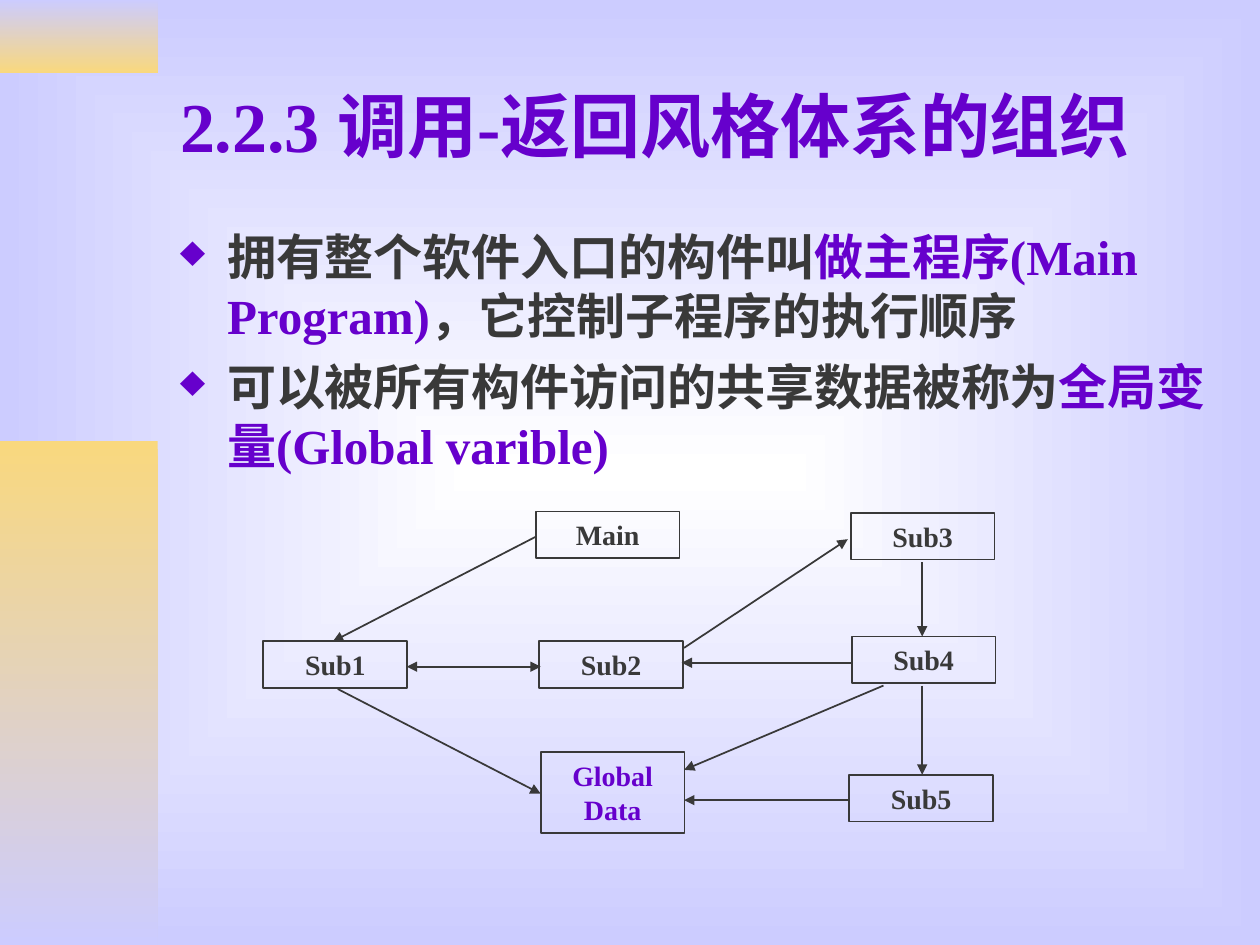
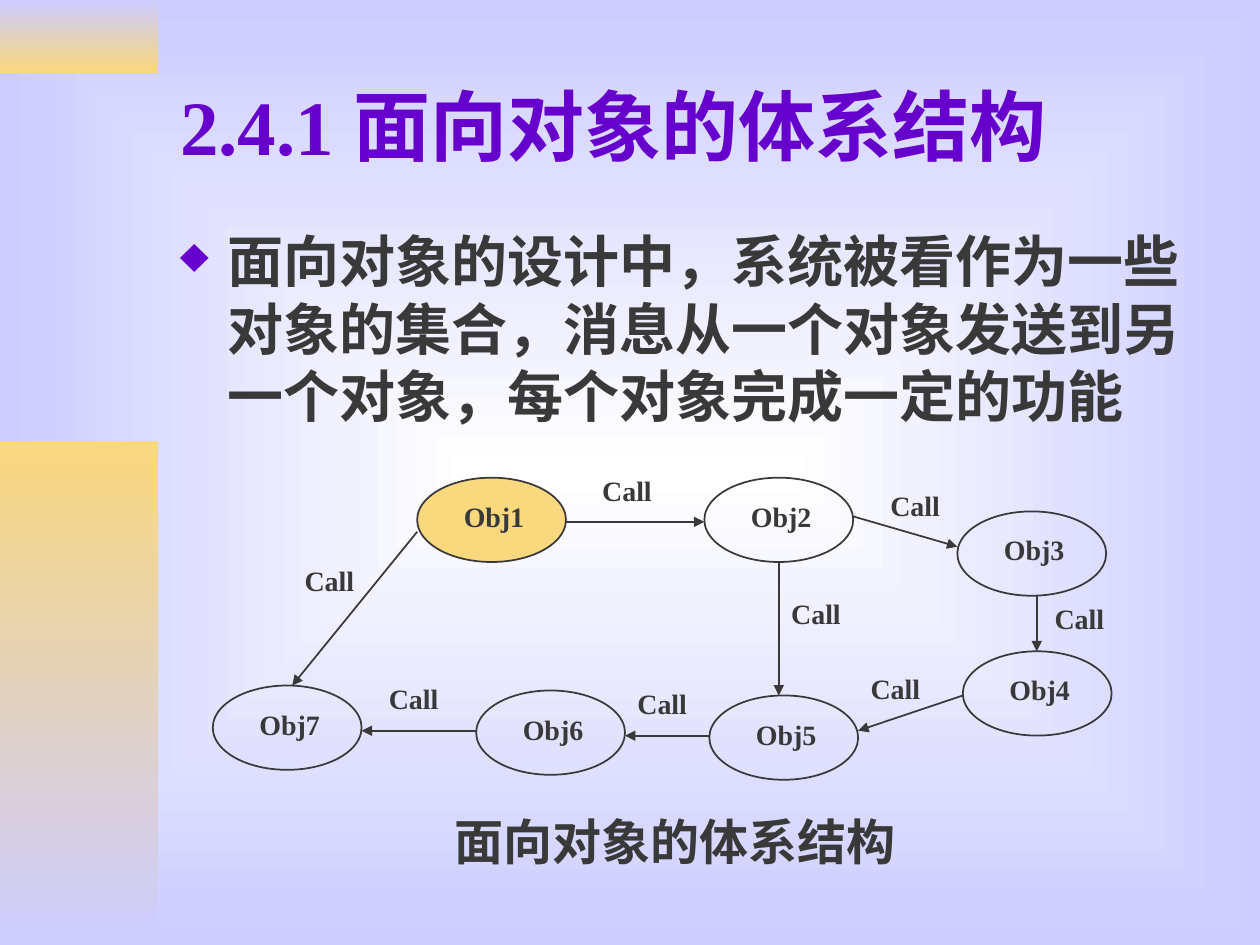
from dataclasses import dataclass

from lxml.etree import SubElement
from pptx import Presentation
from pptx.dml.color import RGBColor
from pptx.enum.lang import MSO_LANGUAGE_ID as Language
from pptx.enum.shapes import MSO_CONNECTOR as Connector, MSO_SHAPE as Shape
from pptx.enum.text import MSO_ANCHOR as Anchor, PP_ALIGN as Align
from pptx.oxml.ns import qn
from pptx.util import Cm, Pt


@dataclass(frozen=True)
class Theme:
    font: str = "Times New Roman"
    ink: str = "393939"
    accent: str = "6600CC"
    gold: str = "F9D87E"
    lavender: str = "CCCCFF"
    white: str = "FFFFFF"
    label_size: int = 16
    caption_size: int = 28
    line_width: int = 1


def lengths(*values):
    return [Cm(value) for value in values]


def paint_gradient(fill, colors):
    fill.gradient()
    for stop, color in zip(fill.gradient_stops, colors):
        stop.color.rgb = RGBColor.from_string(color)


class SlideBuilder:
    def __init__(self, deck, theme):
        self.deck, self.theme = deck, theme
        self.page = None
        self.set_background()

    # Shared look
    def set_background(self):
        master = self.deck.slide_master
        paint_gradient(master.background.fill, (self.theme.white, self.theme.lavender))
        gradient = master.element.find(".//" + qn("a:gradFill"))
        gradient.remove(gradient.find(qn("a:lin")))
        center = SubElement(gradient, qn("a:path"), {"path": "rect"})
        SubElement(center, qn("a:fillToRect"), dict.fromkeys("ltrb", "50000"))

    def new_page(self, title, size):
        self.page = self.deck.slides.add_slide(self.deck.slide_layouts[6])
        theme = self.theme
        self.band(0, 1.47, (theme.lavender, theme.gold))
        self.band(8.89, 10.16, (theme.gold, theme.lavender))
        self.text((3.38, 0.84, 21.59, 3.35), title, size, theme.accent, anchor=Anchor.MIDDLE)

    def band(self, top, height, colors):
        band = self.page.shapes.add_shape(Shape.RECTANGLE, *lengths(0, top, 3.18, height))
        band.shadow.inherit = False
        band.line.fill.background()
        paint_gradient(band.fill, colors)
        band.fill.gradient_angle = 270

    # Text
    def add_run(self, para, text, size, color):
        span = para.add_run()
        span.text = text
        font = span.font
        font.name, font.size, font.bold = self.theme.font, Pt(size), True
        font.color.rgb = RGBColor.from_string(color)
        font.language_id = Language.SIMPLIFIED_CHINESE

    def text_frame(self, place):
        frame = self.page.shapes.add_textbox(*lengths(*place)).text_frame
        frame.word_wrap = True
        return frame

    def text(self, place, text, size, color, align=Align.LEFT, anchor=Anchor.TOP):
        frame = self.text_frame(place)
        frame.vertical_anchor = anchor
        para = frame.paragraphs[0]
        para.alignment = align
        self.add_run(para, text, size, color)

    def bullets(self, height, size, items, gap=0):
        frame = self.text_frame((3.38, 4.45, 21.59, height))
        for index, runs in enumerate(items):
            para = frame.add_paragraph() if index else frame.paragraphs[0]
            self.mark_bullet(para)
            if index:
                para.space_before = Pt(gap)
            for text, color in runs:
                self.add_run(para, text, size, color)

    def mark_bullet(self, para):
        props = para._p.get_or_add_pPr()
        indent = Cm(0.95)
        props.set("marL", str(indent))
        props.set("indent", str(-indent))
        tint = SubElement(props, qn("a:buClr"))
        SubElement(tint, qn("a:srgbClr"), val=self.theme.accent)
        SubElement(props, qn("a:buSzPct"), val="90000")
        SubElement(props, qn("a:buChar"), char="♦")

    # Diagram parts
    def node(self, kind, place, text, color=None, fill=None, insets=(0.25, 0.13, 0.25, 0.13)):
        node = self.page.shapes.add_shape(kind, *lengths(*place))
        node.shadow.inherit = False
        if fill:
            node.fill.solid()
            node.fill.fore_color.rgb = RGBColor.from_string(fill)
        else:
            node.fill.background()
        self.style_line(node.line)
        frame = node.text_frame
        frame.word_wrap = True
        frame.vertical_anchor = Anchor.MIDDLE
        (frame.margin_left, frame.margin_top,
         frame.margin_right, frame.margin_bottom) = lengths(*insets)
        para = frame.paragraphs[0]
        para.alignment = Align.CENTER
        self.add_run(para, text, self.theme.label_size, color or self.theme.ink)

    def style_line(self, line):
        line.color.rgb = RGBColor.from_string(self.theme.ink)
        line.width = Pt(self.theme.line_width)

    def arrow(self, start, end, both_ways=False):
        arrow = self.page.shapes.add_connector(Connector.STRAIGHT, *lengths(*start, *end))
        self.style_line(arrow.line)
        props = arrow.element.spPr
        stroke = props.find(qn("a:ln"))
        for tip in ("a:headEnd", "a:tailEnd") if both_ways else ("a:tailEnd",):
            SubElement(stroke, qn(tip), type="triangle")
        SubElement(props, qn("a:effectLst"))


def build_call_return(builder):
    theme = builder.theme
    builder.new_page("2.2.3 调用-返回风格体系的组织", 40)
    builder.bullets(5.87, 28, [
        [("拥有整个软件入口的构件叫", theme.ink),
         ("做主程序(Main Program)", theme.accent),
         ("，它控制子程序的执行顺序", theme.ink)],
        [("可以被所有构件访问的共享数据被称为", theme.ink),
         ("全局变量(Global varible)", theme.accent)],
    ], gap=7)

    # Routines and the data they share
    routines = {
        "Main": (10.8, 10.31), "Sub1": (5.31, 12.93), "Sub2": (10.87, 12.93),
        "Sub3": (17.15, 10.34), "Sub4": (17.17, 12.83), "Sub5": (17.12, 15.62),
    }
    for name, corner in routines.items():
        builder.node(Shape.RECTANGLE, (*corner, 2.9, 0.94), name)
    builder.node(Shape.RECTANGLE, (10.9, 15.16, 2.9, 1.63), "Global Data", theme.accent)

    # Calls and data access
    calls = [
        ((10.8, 10.82), (6.71, 12.93)),
        ((6.81, 13.89), (10.9, 16)),
        ((13.79, 13.06), (17.09, 10.87)),
        ((18.59, 11.33), (18.59, 12.83)),
        ((17.15, 13.36), (13.74, 13.36)),
        ((18.59, 13.82), (18.59, 15.62)),
        ((17.09, 16.13), (13.79, 16.13)),
        ((17.81, 13.82), (13.79, 15.52)),
    ]
    for start, end in calls:
        builder.arrow(start, end)
    builder.arrow((8.2, 13.44), (10.9, 13.44), both_ways=True)


def build_object_oriented(builder):
    theme = builder.theme
    builder.new_page("2.4.1 面向对象的体系结构", 44)
    builder.bullets(4.78, 32, [[
        ("面向对象的设计中，系统被看作为一些对象的集合，"
         "消息从一个对象发送到另一个对象，每个对象完成一定的功能", theme.ink),
    ]])

    # Objects
    objects = {
        "Obj1": (8.41, 9.63), "Obj2": (14.2, 9.63), "Obj3": (19.3, 10.31),
        "Obj4": (19.41, 13.13), "Obj5": (14.3, 14.02), "Obj6": (9.6, 13.92),
        "Obj7": (4.29, 13.82),
    }
    for name, corner in objects.items():
        fill = theme.gold if name == "Obj1" else None
        builder.node(Shape.OVAL, (*corner, 3, 1.7), name, fill=fill, insets=(0.1, 0, 0, 0.15))

    # Messages: start, end, corner of the label
    messages = [
        ((11.4, 10.52), (14.2, 10.52), (11.89, 9.42)),
        ((8.41, 10.72), (5.89, 13.82), (5.89, 11.23)),
        ((9.6, 14.73), (7.29, 14.73), (7.59, 13.61)),
        ((17.2, 10.41), (19.3, 11.02), (17.7, 9.73)),
        ((20.9, 12.01), (20.9, 13.13), (21.01, 12.01)),
        ((19.41, 14.02), (17.3, 14.73), (17.3, 13.41)),
        ((14.3, 14.83), (12.6, 14.83), (12.6, 13.72)),
        ((15.7, 11.33), (15.7, 14.02), (15.7, 11.91)),
    ]
    for start, end, corner in messages:
        builder.arrow(start, end)
        builder.text((*corner, 2.11, 0.94), "Call", theme.label_size, theme.ink)

    builder.text((7.11, 16.23, 13, 1.45), "面向对象的体系结构",
                 theme.caption_size, theme.ink, Align.CENTER)


def main():
    deck = Presentation()
    deck.slide_width, deck.slide_height = lengths(25.4, 19.05)
    builder = SlideBuilder(deck, Theme())
    build_call_return(builder)
    build_object_oriented(builder)
    deck.save("out.pptx")


if __name__ == "__main__":
    main()
